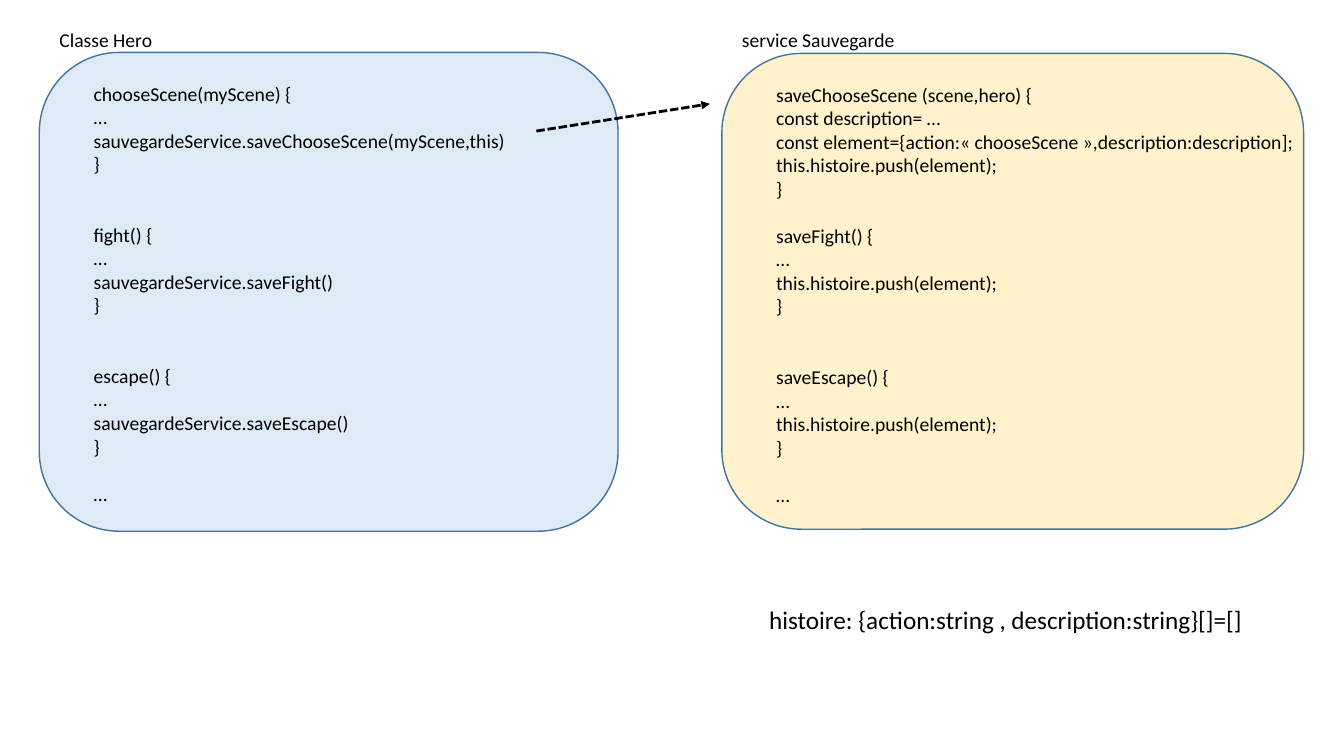
from lxml import etree
from pptx import Presentation
from pptx.dml.color import RGBColor
from pptx.enum.dml import MSO_LINE
from pptx.enum.shapes import MSO_CONNECTOR, MSO_SHAPE
from pptx.enum.text import MSO_AUTO_SIZE
from pptx.oxml.ns import qn
from pptx.util import Inches, Pt

ROUNDED = MSO_SHAPE.ROUNDED_RECTANGLE
STRAIGHT = MSO_CONNECTOR.STRAIGHT
DASH = MSO_LINE.SQUARE_DOT
GROW = MSO_AUTO_SIZE.SHAPE_TO_FIT_TEXT
FONT = "Calibri"
LINE_PITCH = 16.8


def rgb(value):
    return RGBColor.from_string(value)


def add_text(shapes, box, blocks, size=14):
    tf = shapes.add_textbox(*map(Inches, box)).text_frame
    tf.word_wrap = False
    tf.auto_size = GROW
    lines = [(line, gap if i == 0 else 0)
             for gap, block in blocks for i, line in enumerate(block)]
    for i, (line, gap) in enumerate(lines):
        p = tf.add_paragraph() if i else tf.paragraphs[0]
        p.text = line
        p.space_before = Pt(gap * LINE_PITCH)
        font = p.runs[0].font
        font.name = FONT
        font.size = Pt(size)
        font.color.rgb = rgb("000000")


prs = Presentation()
prs.slide_width = Inches(13.33)
prs.slide_height = Inches(7.5)
s = prs.slides.add_slide(prs.slide_layouts[6])

hero_code = [
    (0, ["chooseScene(myScene) {", "…",
         "sauvegardeService.saveChooseScene(myScene,this)", "}"]),
    (2, ["fight() {", "…", "sauvegardeService.saveFight()", "}"]),
    (2, ["escape() {", "…", "sauvegardeService.saveEscape()", "}"]),
    (1, ["…"]),
]
push = "this.histoire.push(element);"
service_code = [
    (0, ["saveChooseScene (scene,hero) {", "const description= …",
         "const element={action:« chooseScene »,description:description];",
         push, "}"]),
    (1, ["saveFight() {", "…", push, "}"]),
    (2, ["saveEscape() {", "…", push, "}"]),
    (1, ["…"]),
]

panels = [
    ("Classe Hero", (0.49, 0.23, 1.13, 0.38), "DEEBF7",
     (0.39, 0.52, 5.74, 4.75), (0.83, 0.76, 4.32, 4.34), hero_code),
    ("service Sauvegarde", (7.26, 0.23, 1.73, 0.39), "FFF2CC",
     (7.16, 0.53, 5.77, 4.72), (7.6, 0.77, 5.38, 4.34), service_code),
]
for title, title_box, fill, panel_box, code_box, code in panels:
    shapes = s.shapes.add_group_shape().shapes
    sp = shapes.add_shape(ROUNDED, *map(Inches, panel_box))
    sp.shadow.inherit = False
    sp.fill.solid()
    sp.fill.fore_color.rgb = rgb(fill)
    sp.line.color.rgb = rgb("43739E")
    sp.line.width = Pt(1)
    add_text(shapes, code_box, code)
    add_text(shapes, title_box, [(0, [title])])

add_text(s.shapes, (7.53, 5.95, 4.95, 0.4),
         [(0, ["histoire: {action:string , description:string}[]=[]"])], 18)

arrow = s.shapes.add_connector(STRAIGHT, *map(Inches, (5.32, 1.3, 7.04, 1.03)))
arrow.line.color.rgb = rgb("000000")
arrow.line.width = Pt(2)
arrow.line.dash_style = DASH
etree.SubElement(arrow.line._get_or_add_ln(), qn("a:tailEnd"), type="triangle")
etree.SubElement(arrow._element.spPr, qn("a:effectLst"))

prs.save("out.pptx")
